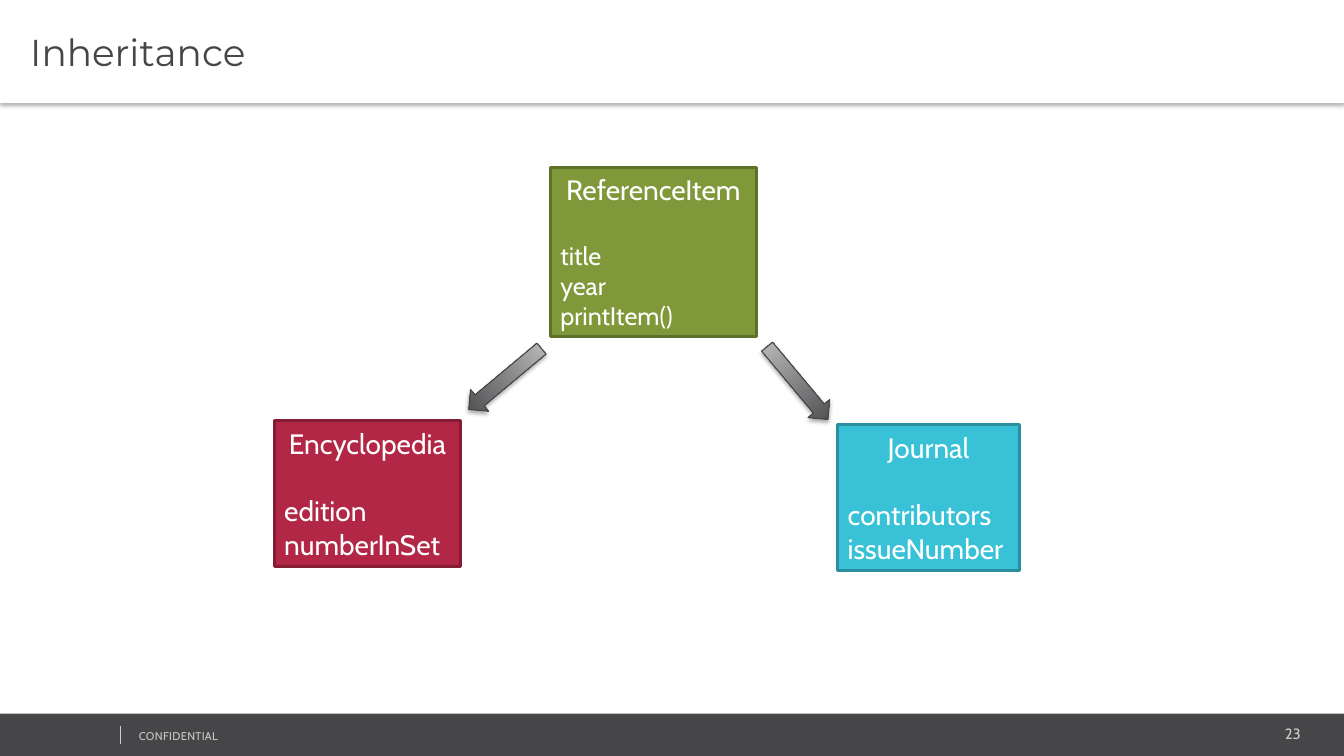
from dataclasses import dataclass

from lxml.etree import SubElement
from pptx import Presentation
from pptx.dml.color import RGBColor
from pptx.enum.shapes import MSO_CONNECTOR, MSO_SHAPE
from pptx.enum.text import MSO_ANCHOR, PP_ALIGN
from pptx.oxml.ns import qn
from pptx.shapes.autoshape import Shape
from pptx.slide import Slide
from pptx.text.text import TextFrame, _Paragraph, _Run
from pptx.util import Inches, Pt

WHITE = RGBColor(0xFF, 0xFF, 0xFF)
DARK = RGBColor(0x46, 0x45, 0x47)
LIGHT = RGBColor(0xC1, 0xC0, 0xC1)
PALE = RGBColor(0xCC, 0xCC, 0xCC)
EDGE = RGBColor(0x44, 0x43, 0x45)
GREEN = RGBColor(0x7F, 0x99, 0x3A)
MOSS = RGBColor(0x5E, 0x71, 0x2B)
RED = RGBColor(0xB2, 0x27, 0x46)
WINE = RGBColor(0x84, 0x1D, 0x34)
CYAN = RGBColor(0x39, 0xC2, 0xD7)
TEAL = RGBColor(0x2A, 0x90, 0x9F)


@dataclass
class Area:
    left: float
    top: float
    width: float
    height: float


@dataclass
class Card:
    area: Area
    fill: RGBColor
    edge: RGBColor
    name: str
    members: list[str]
    size: float = 20
    anchor: MSO_ANCHOR = MSO_ANCHOR.MIDDLE


@dataclass
class Arrow:
    area: Area
    turn: float


@dataclass
class Label:
    area: Area
    text: str
    size: float
    align: PP_ALIGN
    spacing: int = 0


CARDS = [
    Card(Area(2.72, 4.17, 1.85, 1.45), RED, WINE, "Encyclopedia", ["edition", "numberInSet"]),
    Card(Area(5.46, 1.66, 2.04, 1.68), GREEN, MOSS, "ReferenceItem",
         ["title", "year", "printItem()"], 18, MSO_ANCHOR.TOP),
    Card(Area(8.31, 4.21, 1.8, 1.45), CYAN, TEAL, "Journal", ["contributors", "issueNumber"]),
]
ARROWS = [Arrow(Area(4.87, 3.29, 0.28, 0.94), 50.1), Arrow(Area(7.77, 3.33, 0.28, 0.94), 320.1)]
LABELS = [
    Label(Area(10.82, 7.14, 2.18, 0.28), "23", 10.7, PP_ALIGN.RIGHT),
    Label(Area(1.28, 7.18, 3.38, 0.24), "CONFIDENTIAL", 8, PP_ALIGN.LEFT, 20),
]


def place(area: Area) -> tuple[int, int, int, int]:
    return Inches(area.left), Inches(area.top), Inches(area.width), Inches(area.height)


def add_run(para: _Paragraph, text: str, size: float, color: RGBColor,
            align: PP_ALIGN = PP_ALIGN.LEFT, font: str = "Cabin") -> _Run:
    para.alignment = align
    run = para.add_run()
    run.text = text
    run.font.name = font
    run.font.size = Pt(size)
    run.font.color.rgb = color
    return run


def set_frame(frame: TextFrame, anchor: MSO_ANCHOR = MSO_ANCHOR.MIDDLE) -> None:
    frame.word_wrap = True
    frame.vertical_anchor = anchor
    frame.margin_top = frame.margin_bottom = Inches(0.05)


def add_form(slide: Slide, kind: MSO_SHAPE, area: Area, fill: RGBColor) -> Shape:
    form = slide.shapes.add_shape(kind, *place(area))
    form.shadow.inherit = False
    form.fill.solid()
    form.fill.fore_color.rgb = fill
    form.line.fill.background()
    return form


def set_edge(form: Shape, color: RGBColor, width: float) -> None:
    form.line.color.rgb = color
    form.line.width = Pt(width)


def cast_shade(form: Shape, alpha: int, reach: float) -> None:
    effects = form.element.spPr.find(qn("a:effectLst"))
    shade = SubElement(effects, qn("a:outerShdw"), blurRad=str(Pt(3.1)), dist=str(Pt(reach)),
                       dir="5400000", algn="t", rotWithShape="0")
    color = SubElement(shade, qn("a:srgbClr"), val="000000")
    SubElement(color, qn("a:alpha"), val=str(alpha * 1000))


def add_label(slide: Slide, label: Label) -> None:
    frame = slide.shapes.add_textbox(*place(label.area)).text_frame
    set_frame(frame)
    run = add_run(frame.paragraphs[0], label.text, label.size, PALE, label.align)
    run.font._element.set("spc", str(label.spacing))


def add_foot(slide: Slide) -> None:
    add_form(slide, MSO_SHAPE.RECTANGLE, Area(0, 7.08, 13.35, 0.43), DARK)
    for label in LABELS:
        add_label(slide, label)
    rule = slide.shapes.add_connector(
        MSO_CONNECTOR.STRAIGHT, Inches(1.19), Inches(7.2), Inches(1.19), Inches(7.38))
    rule.line.color.rgb = PALE
    rule.line.width = Pt(0.25)
    SubElement(rule._element.spPr, qn("a:effectLst"))


def add_title(slide: Slide) -> None:
    band = add_form(slide, MSO_SHAPE.RECTANGLE, Area(0, 0, 13.33, 1.02), WHITE)
    cast_shade(band, 30, 2)
    set_frame(band.text_frame)
    band.text_frame.margin_left = Inches(0.3)
    add_run(band.text_frame.paragraphs[0], "Inheritance", 26.7, DARK, font="Montserrat")


def add_card(slide: Slide, card: Card) -> None:
    box = add_form(slide, MSO_SHAPE.RECTANGLE, card.area, card.fill)
    set_edge(box, card.edge, 2)
    frame = box.text_frame
    set_frame(frame, card.anchor)
    add_run(frame.paragraphs[0], card.name, 20, WHITE, PP_ALIGN.CENTER)
    for index, member in enumerate(card.members):
        para = frame.add_paragraph()
        para.space_before = Pt(0 if index else 24.3)
        add_run(para, member, card.size, WHITE)


def add_arrow(slide: Slide, arrow: Arrow) -> None:
    form = add_form(slide, MSO_SHAPE.DOWN_ARROW, arrow.area, DARK)
    form.rotation = arrow.turn
    form.fill.gradient()
    form.fill.gradient_angle = 90
    for stop, color, place_at in zip(form.fill.gradient_stops, (DARK, LIGHT), (0, 1)):
        stop.color.rgb = color
        stop.position = place_at
    set_edge(form, EDGE, 0.75)
    cast_shade(form, 35, 1.8)


def main() -> None:
    deck = Presentation()
    deck.slide_width = Inches(13.33)
    deck.slide_height = Inches(7.5)
    slide = deck.slides.add_slide(deck.slide_layouts[6])
    add_foot(slide)
    add_title(slide)
    for card in CARDS:
        add_card(slide, card)
    for arrow in ARROWS:
        add_arrow(slide, arrow)
    deck.save("out.pptx")


if __name__ == "__main__":
    main()
